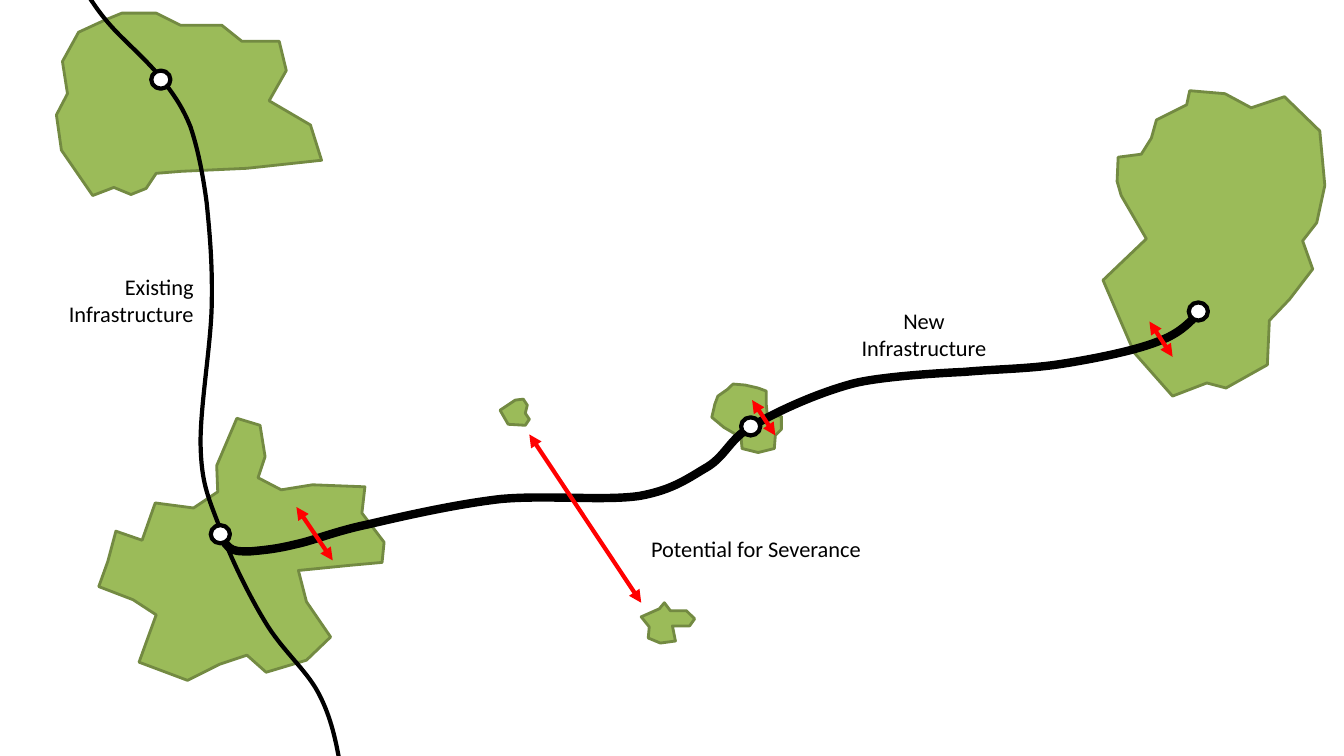
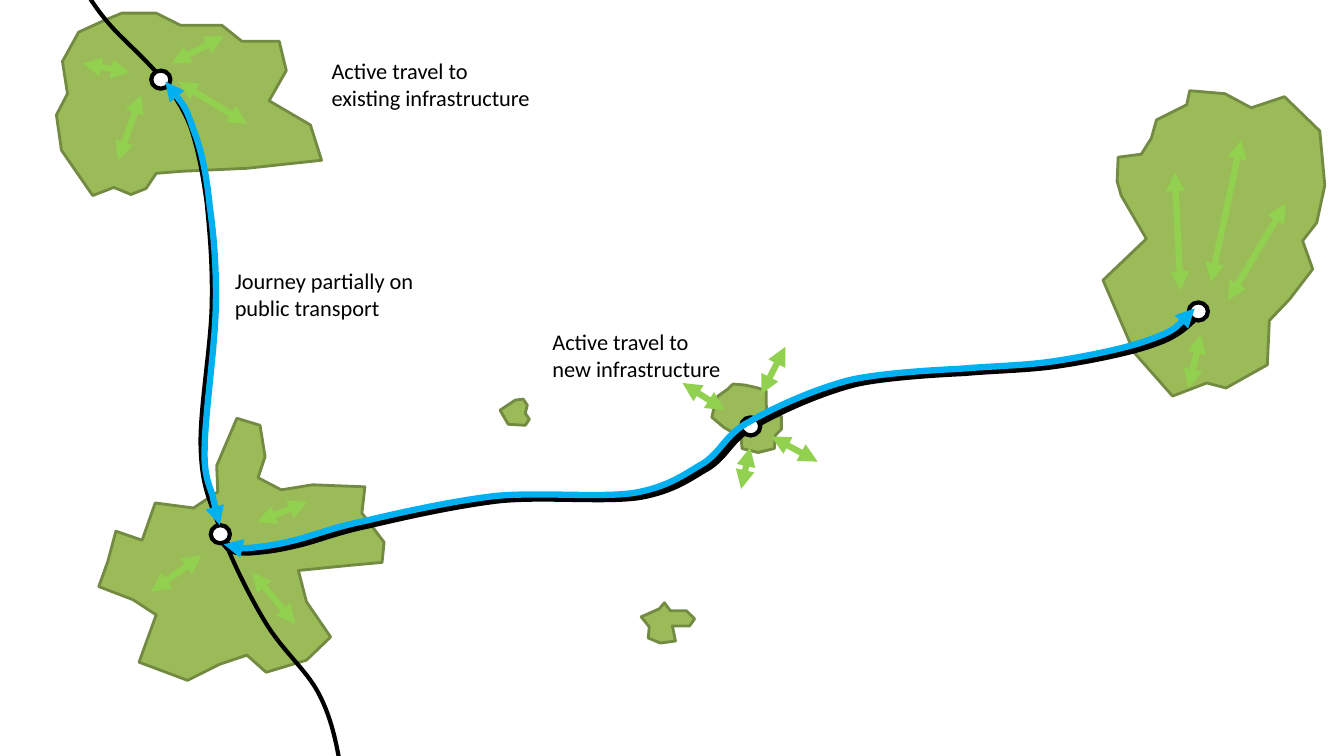
import itertools

import lxml.etree
import pptx
import pptx.dml.color
import pptx.enum.shapes
import pptx.enum.text
import pptx.oxml.ns
import pptx.util

Inches = pptx.util.Inches
RGBColor = pptx.dml.color.RGBColor
ALIGN = pptx.enum.text.PP_ALIGN
qn = pptx.oxml.ns.qn

BLACK = RGBColor(0x00, 0x00, 0x00)
WHITE = RGBColor(0xFF, 0xFF, 0xFF)
WOOD_FILL = RGBColor(0x9B, 0xBB, 0x59)
WOOD_EDGE = RGBColor(0x73, 0x8A, 0x42)
SEVERANCE = RGBColor(0xFF, 0x00, 0x00)
ACTIVE_TRAVEL = RGBColor(0x92, 0xD0, 0x50)
TRANSIT = RGBColor(0x00, 0xB0, 0xF0)

PAGE_WIDTH, PAGE_HEIGHT = 13.33, 7.5
STATION_WIDTH, STATION_HEIGHT = 0.19, 0.18
FONT, TEXT_SIZE = "Calibri", 16

SOUTH_WEST_AREA = [
    (1.41, 5.36), (1.54, 4.99), (1.92, 5.04), (2.16, 4.88), (2.15, 4.62),
    (2.35, 4.15), (2.58, 4.22), (2.63, 4.53), (2.56, 4.74), (2.79, 4.86),
    (3.1, 4.81), (3.62, 4.83), (3.59, 5.09), (3.81, 5.38), (3.79, 5.58),
    (3.46, 5.61), (2.96, 5.66), (3.04, 5.97), (3.28, 6.32), (3.04, 6.55),
    (2.64, 6.67), (2.45, 6.5), (2.18, 6.59), (1.86, 6.75), (1.38, 6.57),
    (1.47, 6.32), (1.55, 6.1), (1.32, 5.95), (0.98, 5.82), (1.07, 5.57),
    (1.15, 5.27),
]
EAST_AREA = [
    (11.12, 1.94), (11.37, 2.37), (10.94, 2.78), (11.25, 3.5), (11.63, 3.93),
    (11.97, 3.8), (12.16, 3.85), (12.57, 3.62), (12.59, 3.18), (12.79, 2.97),
    (13.02, 2.67), (12.92, 2.39), (13.06, 2.21), (13.14, 1.84), (13.09, 1.3),
    (12.74, 0.96), (12.41, 1.07), (12.15, 0.93), (11.8, 0.9), (11.77, 1.04),
    (11.47, 1.19), (11.42, 1.37), (11.32, 1.53), (11.09, 1.56), (11.08, 1.8),
]
CENTRE_AREA = [
    (7.12, 3.93), (7.09, 4.01), (7.06, 4.14), (7.18, 4.24), (7.35, 4.34),
    (7.36, 4.45), (7.52, 4.49), (7.68, 4.45), (7.69, 4.32), (7.75, 4.26),
    (7.75, 4.13), (7.61, 4.12), (7.6, 4.01), (7.6, 3.88), (7.52, 3.85),
    (7.39, 3.82), (7.27, 3.81), (7.22, 3.86),
]
NORTH_WEST_AREA = [
    (1.04, 0.2), (0.78, 0.32), (0.62, 0.61), (0.67, 0.93), (0.56, 1.14),
    (0.61, 1.49), (0.92, 1.94), (1.13, 1.86), (1.3, 1.93), (1.45, 1.87),
    (1.55, 1.72), (1.8, 1.7), (2.45, 1.67), (3.19, 1.59), (3.08, 1.24),
    (2.67, 1), (2.84, 0.7), (2.77, 0.41), (2.4, 0.41), (2.2, 0.25),
    (1.79, 0.25), (1.55, 0.13), (1.21, 0.13),
]
NORTH_HAMLET = [
    (5.11, 3.97), (4.96, 4.07), (5.04, 4.21), (5.21, 4.22), (5.25, 4.16),
    (5.21, 4.1), (5.23, 4.02), (5.19, 3.96),
]
SOUTH_HAMLET = [
    (6.54, 6.04), (6.36, 6.12), (6.44, 6.22), (6.43, 6.33), (6.55, 6.38),
    (6.7, 6.36), (6.67, 6.21), (6.84, 6.21), (6.89, 6.14), (6.81, 6.06),
    (6.65, 6.06), (6.59, 5.98),
]
AREAS = [SOUTH_WEST_AREA, EAST_AREA, CENTRE_AREA, NORTH_WEST_AREA,
         NORTH_HAMLET, SOUTH_HAMLET]

EXISTING_ROUTE = [
    (0.89, -0.02),
    (0.95, 0.07), (1.01, 0.16), (1.13, 0.29),
    (1.25, 0.42), (1.48, 0.62), (1.61, 0.79),
    (1.73, 0.95), (1.81, 1.06), (1.89, 1.26),
    (1.96, 1.47), (2.01, 1.71), (2.05, 2.01),
    (2.08, 2.31), (2.11, 2.63), (2.1, 3.04),
    (2.09, 3.44), (1.98, 4.07), (1.99, 4.43),
    (2, 4.79), (2.06, 4.92), (2.17, 5.21),
    (2.27, 5.5), (2.46, 5.89), (2.63, 6.17),
    (2.79, 6.44), (3.03, 6.64), (3.15, 6.86),
    (3.27, 7.08), (3.32, 7.3), (3.36, 7.51),
]
NEW_ROUTE = [
    (2.19, 5.24),
    (2.2, 5.32), (2.22, 5.39), (2.27, 5.43),
    (2.32, 5.47), (2.37, 5.47), (2.48, 5.47),
    (2.59, 5.46), (2.73, 5.45), (2.93, 5.4),
    (3.12, 5.36), (3.32, 5.27), (3.66, 5.2),
    (4, 5.12), (4.53, 5), (4.97, 4.95),
    (5.42, 4.91), (6, 4.97), (6.34, 4.92),
    (6.68, 4.86), (6.83, 4.74), (7.02, 4.63),
    (7.21, 4.51), (7.24, 4.34), (7.49, 4.21),
    (7.73, 4.07), (8.13, 3.89), (8.48, 3.8),
    (8.82, 3.72), (9.56, 3.69), (9.56, 3.69),
    (9.9, 3.66), (10.21, 3.66), (10.53, 3.61),
    (10.85, 3.56), (11.25, 3.48), (11.48, 3.39),
    (11.7, 3.31), (11.8, 3.2), (11.9, 3.09),
]
EXISTING_JOURNEY = [
    (1.64, 0.81),
    (1.81, 1.02), (1.85, 1.08), (1.92, 1.29),
    (2, 1.49), (2.05, 1.74), (2.08, 2.04),
    (2.12, 2.33), (2.15, 2.66), (2.14, 3.06),
    (2.13, 3.47), (2.03, 4.14), (2.03, 4.46),
    (2.02, 4.77), (2.1, 4.84), (2.12, 4.97),
    (2.15, 5.09), (2.1, 5.05), (2.18, 5.21),
]
NEW_JOURNEY = [(x - 0.05, y - 0.03) for x, y in NEW_ROUTE[3:]]
STATIONS = [(1.5, 0.7), (2.09, 5.21), (7.35, 4.14), (11.79, 3)]

SEVERANCE_ARROWS = [
    (5.25, 4.31, 6.36, 5.98), (2.94, 5.03, 3.3, 5.56),
    (7.46, 3.97, 7.69, 4.32), (11.4, 3.19, 11.63, 3.54),
]
ACTIVE_TRAVEL_ARROWS = [
    (2.45, 1.23, 1.77, 0.81), (2.22, 0.36, 1.7, 0.63),
    (0.82, 0.63, 1.29, 0.72), (1.17, 1.59, 1.4, 0.94),
    (1.5, 5.87, 2, 5.51), (3.05, 4.98, 2.55, 5.18),
    (2.93, 6.19, 2.5, 5.68), (8.11, 4.58, 7.65, 4.33),
    (7.35, 4.85, 7.44, 4.44), (7.79, 3.44, 7.55, 3.91),
    (6.77, 3.8, 7.19, 4.07), (12.75, 2.02, 12.18, 2.98),
    (11.65, 1.71, 11.71, 2.88), (11.91, 3.32, 11.79, 3.85),
    (12.31, 1.39, 12.01, 2.8),
]


def place(box, x, y):
    return Inches(box[0] + x), Inches(box[1] + y)


def style_line(line, color, width):
    line.color.rgb = color
    line.width = pptx.util.Pt(width)


def add_arrowheads(shape):
    outline = shape.line._get_or_add_ln()
    for end in ("a:headEnd", "a:tailEnd"):
        lxml.etree.SubElement(outline, qn(end), type="triangle")


def outline_points(page, box, points, close):
    start, *rest = [place(box, x, y) for x, y in points]
    builder = page.shapes.build_freeform(*start)
    builder.add_line_segments(rest, close=close)
    shape = builder.convert_to_shape()
    shape.shadow.inherit = False
    return shape


def add_area(page, box, points):
    area = outline_points(page, box, points, True)
    area.fill.solid()
    area.fill.fore_color.rgb = WOOD_FILL
    style_line(area.line, WOOD_EDGE, 2)


def add_curve(page, box, points, color, width):
    curve = outline_points(page, box, points, False)
    curve.fill.background()
    style_line(curve.line, color, width)
    segments = list(curve._element.iter(qn("a:lnTo")))
    for first, second, third in zip(*[iter(segments)] * 3):
        bezier = lxml.etree.Element(qn("a:cubicBezTo"))
        first.addprevious(bezier)
        for segment in (first, second, third):
            bezier.append(segment[0])
            segment.getparent().remove(segment)
    return curve


def add_station(page, box, x, y):
    station = page.shapes.add_shape(
        pptx.enum.shapes.MSO_SHAPE.OVAL, *place(box, x, y),
        Inches(STATION_WIDTH), Inches(STATION_HEIGHT))
    station.shadow.inherit = False
    station.fill.solid()
    station.fill.fore_color.rgb = WHITE
    style_line(station.line, BLACK, 3)


def add_arrows(page, box, arrows, color, width):
    for x1, y1, x2, y2 in arrows:
        arrow = page.shapes.add_connector(
            pptx.enum.shapes.MSO_CONNECTOR.STRAIGHT,
            *place(box, x1, y1), *place(box, x2, y2))
        style_line(arrow.line, color, width)
        add_arrowheads(arrow)
        lxml.etree.SubElement(arrow._element.spPr, qn("a:effectLst"))


def add_label(page, box, x, y, width, height, lines, align=ALIGN.LEFT):
    label = page.shapes.add_textbox(
        *place(box, x, y), Inches(width), Inches(height))
    frame = label.text_frame
    frame.word_wrap = True
    for index, line in enumerate(lines):
        para = frame.add_paragraph() if index else frame.paragraphs[0]
        para.alignment = align
        span = para.add_run()
        span.text = line
        span.font.name = FONT
        span.font.size = pptx.util.Pt(TEXT_SIZE)
        span.font.color.rgb = BLACK


def add_map(page, box):
    for points in AREAS:
        add_area(page, box, points)
    add_curve(page, box, EXISTING_ROUTE, BLACK, 3)
    add_curve(page, box, NEW_ROUTE, BLACK, 6)
    for x, y in STATIONS:
        add_station(page, box, x, y)


def add_severance(page, box):
    add_map(page, box)
    add_label(page, box, 0.56, 2.66, 1.46, 0.63,
              ["Existing Infrastructure"], ALIGN.RIGHT)
    add_label(page, box, 8.3, 3, 1.73, 0.63,
              ["New Infrastructure"], ALIGN.CENTER)
    add_arrows(page, box, SEVERANCE_ARROWS, SEVERANCE, 3)
    add_label(page, box, 6.36, 5.26, 2.51, 0.36, ["Potential for Severance"])


def add_active_travel(page, box):
    add_map(page, box)
    add_arrows(page, box, ACTIVE_TRAVEL_ARROWS, ACTIVE_TRAVEL, 4.5)
    for points in (EXISTING_JOURNEY, NEW_JOURNEY):
        add_arrowheads(add_curve(page, box, points, TRANSIT, 4.5))
    add_label(page, box, 5.38, 3.21, 2.01, 0.63,
              ["Active travel to", "new infrastructure"])
    add_label(page, box, 3.19, 0.52, 2.51, 0.63,
              ["Active travel to", "existing infrastructure"])
    add_label(page, box, 2.23, 2.6, 2.01, 0.63,
              ["Journey partially on public transport"])


deck = pptx.Presentation()
deck.slide_width = Inches(PAGE_WIDTH)
deck.slide_height = Inches(PAGE_HEIGHT)
for build, box in zip((add_severance, add_active_travel),
                      itertools.repeat((0, 0))):
    build(deck.slides.add_slide(deck.slide_layouts[6]), box)
deck.save("out.pptx")
